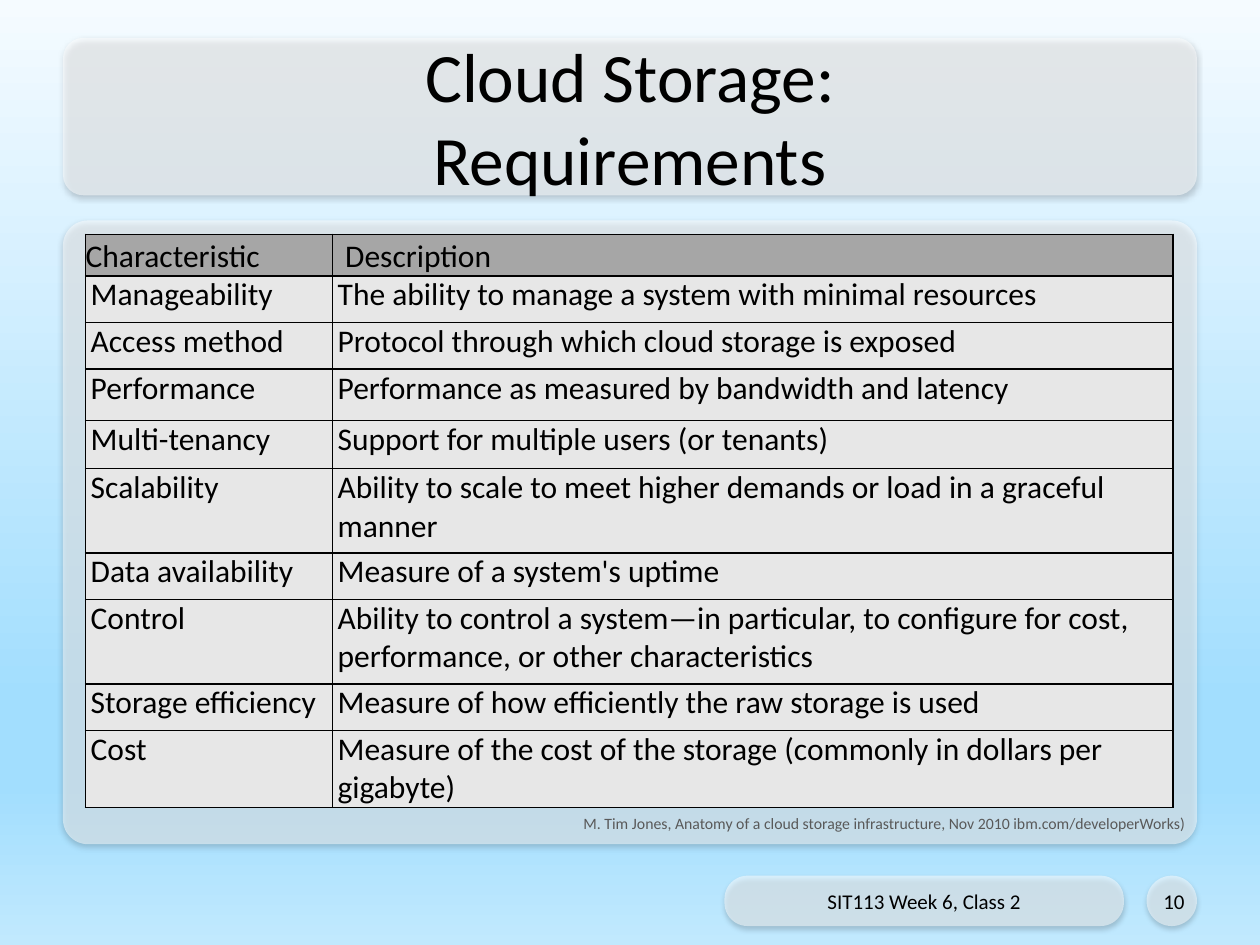
from dataclasses import dataclass

import pptx
import pptx.dml.color
import pptx.enum.shapes
import pptx.enum.text
import pptx.oxml
import pptx.oxml.ns
import pptx.util

# The slide is a grid of 100 columns by 75 rows of square cells.
COLUMNS, ROWS = 100, 75
WIDTH, HEIGHT = pptx.util.Inches(10), pptx.util.Inches(7.5)
FONT = "Calibri"
COLORS = {
    "text": "000000", "source": "595959", "panel": "FFFFFF", "line": "000000",
    "header": "A6A6A6", "body": "E7E7E7",
}
SKY = [(0, "F5FBFF"), (74, "A2DEFE"), (83, "A2DEFE"), (100, "C1E9FE")]
NAMESPACE = pptx.oxml.ns.nsdecls("a")
ALIGN = pptx.enum.text.PP_ALIGN
ANCHOR = pptx.enum.text.MSO_ANCHOR


@dataclass(frozen=True)
class Area:
    column: float
    row: float
    columns: float
    rows: float

    def lengths(self) -> tuple[int, int, int, int]:
        return (across(self.column), down(self.row),
                across(self.columns), down(self.rows))


@dataclass(frozen=True)
class Label:
    area: Area
    lines: tuple[str, ...]
    size: float
    align: ALIGN
    anchor: ANCHOR = ANCHOR.MIDDLE
    color: str = "text"


@dataclass(frozen=True)
class Requirement:
    characteristic: str
    description: str
    rows: float


TITLE = Area(5, 3, 90, 12.5)
BODY = Area(5, 17.5, 90, 49.5)
FOOTER = Area(57.5, 69.5, 31.7, 4)
NUMBER = Area(91, 69.5, 4, 4)

# Panels with the rounding of their corners
PANELS = [(BODY, 0.04), (NUMBER, 0.5), (FOOTER, 0.46), (TITLE, 0.13)]

LABELS = [
    Label(TITLE, ("Cloud Storage:", "Requirements"), 39.6, ALIGN.CENTER),
    Label(FOOTER, ("SIT113 Week 6, Class 2",), 12, ALIGN.CENTER),
    Label(NUMBER, ("10",), 12, ALIGN.RIGHT),
    Label(Area(23.7, 64.1, 71.3, 2.5),
          ("M. Tim Jones, Anatomy of a cloud storage infrastructure, "
           "Nov 2010 ibm.com/developerWorks)",),
          9, ALIGN.RIGHT, ANCHOR.TOP, "source"),
]

TABLE_COLUMNS = (19.6, 66.7)
REQUIREMENTS = [
    Requirement("Characteristic", "Description", 3.3),
    Requirement("Manageability",
                "The ability to manage a system with minimal resources", 3.7),
    Requirement("Access method",
                "Protocol through which cloud storage is exposed", 3.7),
    Requirement("Performance",
                "Performance as measured by bandwidth and latency", 4.1),
    Requirement("Multi-tenancy", "Support for multiple users (or tenants)", 3.8),
    Requirement("Scalability", "Ability to scale to meet higher demands or "
                "load in a graceful manner", 6.7),
    Requirement("Data availability", "Measure of a system's uptime", 3.7),
    Requirement("Control", "Ability to control a system—in particular, to "
                "configure for cost, performance, or other characteristics", 6.7),
    Requirement("Storage efficiency",
                "Measure of how efficiently the raw storage is used", 3.7),
    Requirement("Cost", "Measure of the cost of the storage (commonly in "
                "dollars per gigabyte)", 6.1),
]


def across(columns: float) -> int:
    return round(WIDTH * columns / COLUMNS)


def down(rows: float) -> int:
    return round(HEIGHT * rows / ROWS)


def rgb(name: str) -> pptx.dml.color.RGBColor:
    return pptx.dml.color.RGBColor.from_string(COLORS[name])


def add_span(para, text: str, size: float, color: str) -> None:
    span = para.add_run()
    span.text = text
    span.font.name = FONT
    span.font.size = pptx.util.Pt(size)
    span.font.color.rgb = rgb(color)


def paint_background(page) -> None:
    page.background.fill.gradient()
    gradient = page.element.find(".//" + pptx.oxml.ns.qn("a:gradFill"))
    for child in list(gradient):
        gradient.remove(child)
    stops = "".join(
        f'<a:gs pos="{place * 1000}"><a:srgbClr val="{color}"/></a:gs>'
        for place, color in SKY)
    gradient.append(pptx.oxml.parse_xml(
        f"<a:gsLst {NAMESPACE}>{stops}</a:gsLst>"))
    gradient.append(pptx.oxml.parse_xml(
        f'<a:lin {NAMESPACE} ang="5400000" scaled="0"/>'))


def add_panel(page, area: Area, rounding: float) -> None:
    panel = page.shapes.add_shape(
        pptx.enum.shapes.MSO_SHAPE.ROUNDED_RECTANGLE, *area.lengths())
    panel.adjustments[0] = rounding
    panel.fill.solid()
    panel.fill.fore_color.rgb = rgb("panel")
    panel.line.fill.background()
    # Half-transparent fill and a soft shadow below
    properties = panel.element.spPr
    color = properties.find(".//" + pptx.oxml.ns.qn("a:srgbClr"))
    color.append(pptx.oxml.parse_xml(f'<a:alpha {NAMESPACE} val="50000"/>'))
    blur, distance = pptx.util.Pt(3.1), pptx.util.Pt(1.8)
    properties.append(pptx.oxml.parse_xml(
        f'<a:effectLst {NAMESPACE}><a:outerShdw blurRad="{blur}" '
        f'dist="{distance}" dir="5400000" rotWithShape="0">'
        '<a:srgbClr val="000000"><a:alpha val="35000"/></a:srgbClr>'
        "</a:outerShdw></a:effectLst>"))


def add_label(page, label: Label) -> None:
    box = page.shapes.add_textbox(*label.area.lengths())
    frame = box.text_frame
    frame.word_wrap = True
    frame.vertical_anchor = label.anchor
    para = frame.paragraphs[0]
    para.alignment = label.align
    for index, line in enumerate(label.lines):
        if index:
            para.add_line_break()
        add_span(para, line, label.size, label.color)


def fill_cell(cell, text: str, indent: float, header: bool) -> None:
    cell.margin_left = cell.margin_right = 0
    cell.margin_top = cell.margin_bottom = 0
    cell.fill.solid()
    cell.fill.fore_color.rgb = rgb("header" if header else "body")
    properties = cell._tc.get_or_add_tcPr()
    for index, side in enumerate(("lnL", "lnR", "lnT", "lnB")):
        properties.insert(index, pptx.oxml.parse_xml(
            f'<a:{side} {NAMESPACE} w="{pptx.util.Pt(1)}"><a:solidFill>'
            f'<a:srgbClr val="{COLORS["line"]}"/></a:solidFill></a:{side}>'))
    para = cell.text_frame.paragraphs[0]
    para._p.get_or_add_pPr().set("marL", str(across(indent)))
    if header:
        para.line_spacing = 1.07
    add_span(para, text, 18, "text")


def add_requirements(page) -> None:
    area = Area(6.8, 18.6, sum(TABLE_COLUMNS),
                sum(item.rows for item in REQUIREMENTS))
    table = page.shapes.add_table(
        len(REQUIREMENTS), len(TABLE_COLUMNS), *area.lengths()).table
    for column, columns in zip(table.columns, TABLE_COLUMNS):
        column.width = across(columns)
    for index, item in enumerate(REQUIREMENTS):
        header = index == 0
        table.rows[index].height = down(item.rows)
        indents = (0, 1) if header else (0.4, 0.4)
        texts = (item.characteristic, item.description)
        for place, (text, indent) in enumerate(zip(texts, indents)):
            fill_cell(table.cell(index, place), text, indent, header)


def main() -> None:
    deck = pptx.Presentation()
    deck.slide_width, deck.slide_height = WIDTH, HEIGHT
    page = deck.slides.add_slide(deck.slide_layouts[6])
    paint_background(page)
    for area, rounding in PANELS:
        add_panel(page, area, rounding)
    add_requirements(page)
    for label in LABELS:
        add_label(page, label)
    deck.save("out.pptx")


if __name__ == "__main__":
    main()
